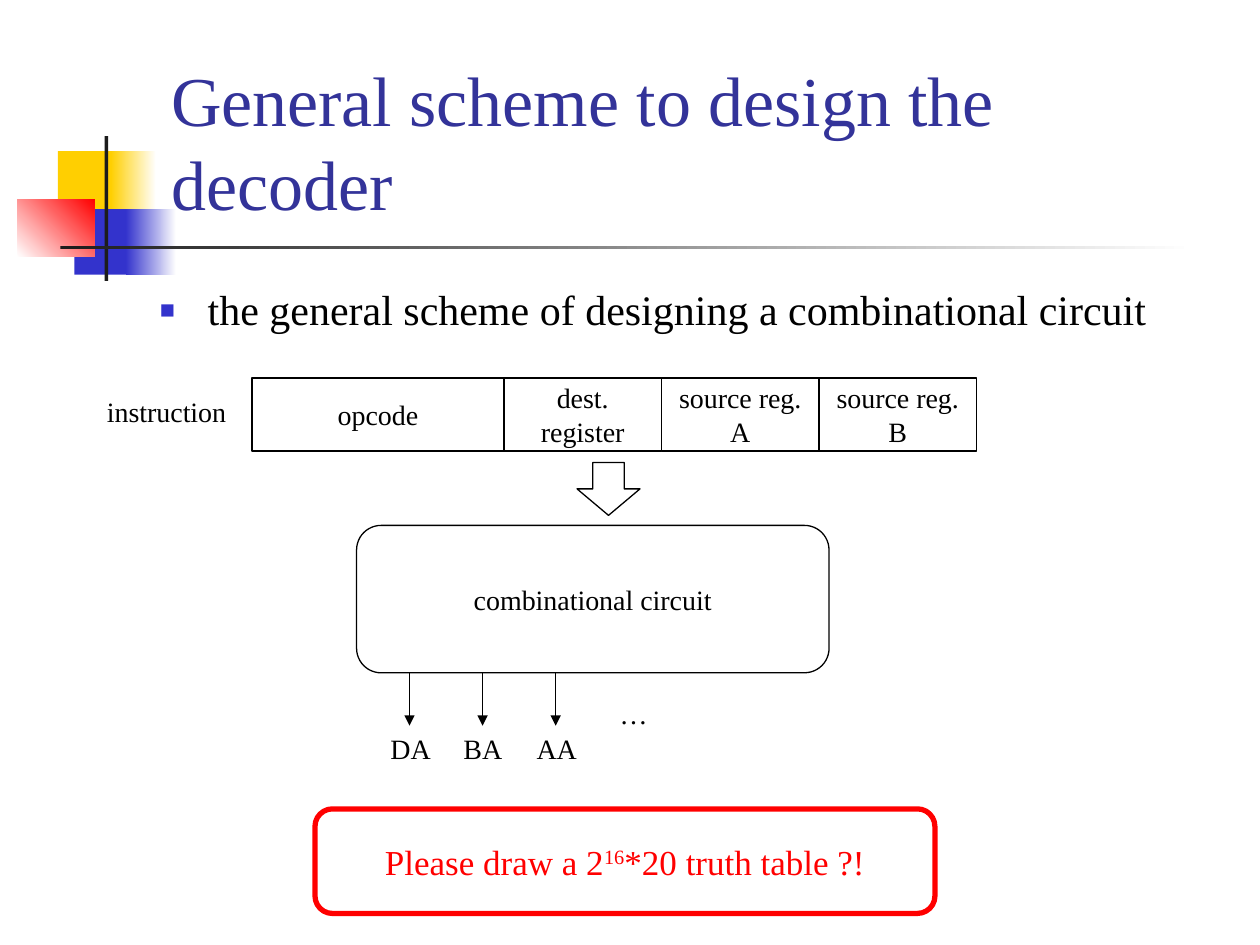
from lxml import etree
from pptx import Presentation
from pptx import util as u
from pptx.dml.color import RGBColor
from pptx.enum import shapes, text
from pptx.oxml import ns

FONT = "Times New Roman"
BLACK = RGBColor(0x00, 0x00, 0x00)
WHITE = RGBColor(0xFF, 0xFF, 0xFF)
YELLOW = RGBColor(0xFF, 0xCF, 0x01)
BLUE = RGBColor(0x33, 0x33, 0xCC)
RED = RGBColor(0xFF, 0x00, 0x00)
CHARCOAL = RGBColor(0x1C, 0x1C, 0x1C)
INDIGO = RGBColor(0x33, 0x33, 0x99)


def write_text(frame, content, size=16, color=BLACK, align=text.PP_ALIGN.LEFT,
               anchor=text.MSO_ANCHOR.TOP, wrap=False):
    """Write lines of text, raising the parts that stand between carets."""
    frame.word_wrap = wrap
    frame.vertical_anchor = anchor
    for index, line in enumerate(content.split("\n")):
        paragraph = frame.add_paragraph() if index else frame.paragraphs[0]
        paragraph.alignment = align
        for position, part in enumerate(line.split("^")):
            run = paragraph.add_run()
            run.text = part
            run.font.name = FONT
            run.font.size = u.Pt(size)
            run.font.color.rgb = color
            if position % 2:
                run.font._element.set("baseline", "30000")


def add_text(slide, left, top, width, height, content, **formatting):
    """Add a text box and return its text frame."""
    box = slide.shapes.add_textbox(*map(u.Inches, (left, top, width, height)))
    write_text(box.text_frame, content, **formatting)
    return box.text_frame


def add_outline(slide, kind, left, top, width, height, content="",
                line_color=BLACK, line_width=0.75, **formatting):
    """Add an unfilled outlined shape with centred text."""
    shape = slide.shapes.add_shape(kind, *map(u.Inches, (left, top, width, height)))
    shape.shadow.inherit = False
    shape.fill.background()
    shape.line.color.rgb = line_color
    shape.line.width = u.Pt(line_width)
    if content:
        write_text(shape.text_frame, content, align=text.PP_ALIGN.CENTER,
                   anchor=text.MSO_ANCHOR.MIDDLE, **formatting)


def add_block(slide, left, top, width, height, start, end=None, angle=0):
    """Add a borderless rectangle with a plain or gradient fill."""
    shape = slide.shapes.add_shape(
        shapes.MSO_SHAPE.RECTANGLE, *map(u.Inches, (left, top, width, height)))
    shape.shadow.inherit = False
    shape.line.fill.background()
    if end is None:
        shape.fill.solid()
        shape.fill.fore_color.rgb = start
        return
    shape.fill.gradient()
    shape.fill.gradient_angle = angle
    for stop, color, position in zip(shape.fill.gradient_stops, (start, end), (0, 1)):
        stop.color.rgb = color
        stop.position = position


def add_arrow(slide, x, top, length):
    """Add a thin downward line that ends in an arrowhead."""
    arrow = slide.shapes.add_connector(
        shapes.MSO_CONNECTOR.STRAIGHT, *map(u.Inches, (x, top, x, top + length)))
    arrow.line.color.rgb = BLACK
    arrow.line.width = u.Pt(0.75)
    etree.SubElement(arrow.line._get_or_add_ln(), ns.qn("a:tailEnd"), type="triangle")
    etree.SubElement(arrow._element.spPr, ns.qn("a:effectLst"))


def add_bullet(paragraph):
    """Give a paragraph a small blue square bullet and a hanging indent."""
    paragraph.line_spacing = 0.9
    paragraph.space_before = u.Pt(4.8)
    properties = paragraph._p.get_or_add_pPr()
    properties.set("marL", str(u.Inches(0.38)))
    properties.set("indent", str(u.Inches(-0.38)))
    color = etree.SubElement(properties, ns.qn("a:buClr"))
    etree.SubElement(color, ns.qn("a:srgbClr"), val=str(BLUE))
    etree.SubElement(properties, ns.qn("a:buSzPct"), val="60000")
    etree.SubElement(properties, ns.qn("a:buFont"), typeface=FONT)
    etree.SubElement(properties, ns.qn("a:buChar"), char="■")


def add_decoration(slide, left, top):
    """Draw the coloured squares and the crossing bars."""
    blocks = [
        (0.32, 0.12, 0.48, 0.52, YELLOW),
        (0.74, 0.12, 0.36, 0.52, YELLOW, WHITE),
        (0.45, 0.58, 0.46, 0.52, BLUE),
        (0.86, 0.58, 0.4, 0.52, BLUE, WHITE),
        (0, 0.5, 0.61, 0.46, WHITE, RED, 45),
        (0.69, 0, 0.03, 1.15, CHARCOAL),
        (0.34, 0.87, 9, 0.03, CHARCOAL, WHITE),
    ]
    for x, y, *rest in blocks:
        add_block(slide, left + x, top + y, *rest)


def add_heading(slide, left, top, width):
    """Write the title and the bulleted line below it."""
    add_text(slide, left, top, width, 1.6, "General scheme to design the decoder",
             size=40, color=INDIGO, anchor=text.MSO_ANCHOR.BOTTOM, wrap=True)
    body = add_text(slide, left - 0.09, top + 2.02, width, 0.54,
                    "the general scheme of designing a combinational circuit",
                    size=24, wrap=True)
    add_bullet(body.paragraphs[0])


def add_instruction(slide, left, top, height):
    """Draw the instruction word with its fields and label."""
    add_text(slide, left, top + 0.08, 1.16, 0.37, "instruction")
    x = left + 1.25
    fields = [("opcode", 2), ("dest.\nregister", 1.25),
              ("source reg.\nA", 1.25), ("source reg.\nB", 1.25)]
    for label, width in fields:
        add_outline(slide, shapes.MSO_SHAPE.RECTANGLE, x, top, width, height, label)
        x += width


def add_circuit(slide, left, top, width, height):
    """Draw the circuit with its input arrow and its outputs."""
    add_outline(slide, shapes.MSO_SHAPE.DOWN_ARROW, left + 1.75, top - 0.5, 0.5, 0.42)
    add_outline(slide, shapes.MSO_SHAPE.ROUNDED_RECTANGLE, left, top, width, height,
                "combinational circuit")
    bottom = top + height
    for index, label in enumerate(("DA", "BA", "AA")):
        x = left + 0.42 + index * 0.58
        add_arrow(slide, x, bottom, 0.42)
        add_text(slide, x - 0.25, bottom + 0.42, 0.52, 0.37, label)
    add_text(slide, left + 1.99, bottom + 0.14, 0.42, 0.37, "…")


def add_question(slide, left, top, width, height):
    """Draw the closing question in a red frame."""
    add_outline(slide, shapes.MSO_SHAPE.ROUNDED_RECTANGLE, left, top, width, height,
                "Please draw a 2^16^*20 truth table ?!",
                line_color=RED, line_width=3, size=20, color=RED)


def main():
    """Build the slide and save it."""
    presentation = Presentation()
    presentation.slide_width = u.Inches(10)
    presentation.slide_height = u.Inches(7.5)
    slide = presentation.slides.add_slide(presentation.slide_layouts[6])
    add_decoration(slide, 0.14, 1.08)
    add_heading(slide, 1.26, 0.23, 8.52)
    add_instruction(slide, 0.75, 3, 0.58)
    add_circuit(slide, 2.83, 4.17, 3.75, 1.17)
    add_question(slide, 2.5, 6.42, 4.92, 0.83)
    presentation.save("out.pptx")


if __name__ == "__main__":
    main()
